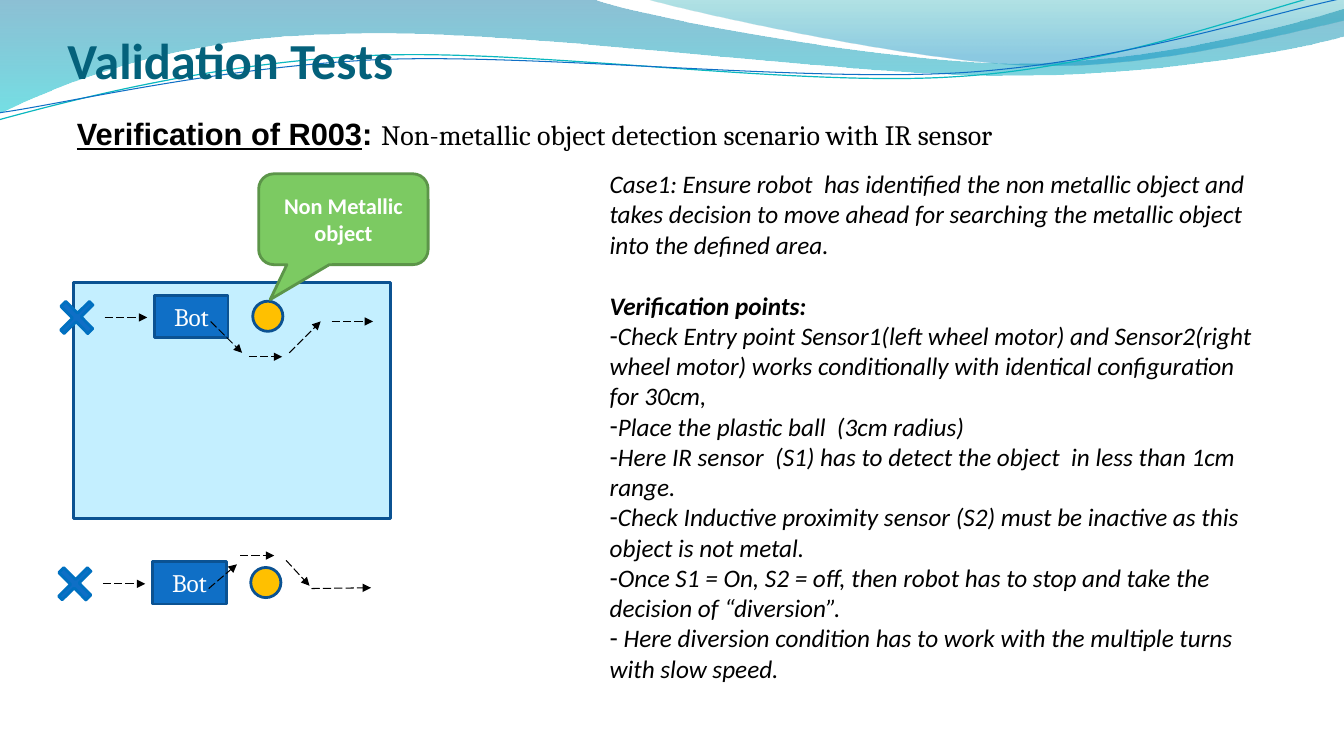
from dataclasses import dataclass

from lxml import etree
from pptx import Presentation
from pptx.dml.color import RGBColor
from pptx.enum.dml import MSO_LINE
from pptx.enum.shapes import MSO_CONNECTOR, MSO_SHAPE
from pptx.enum.text import MSO_ANCHOR, MSO_AUTO_SIZE, PP_ALIGN
from pptx.oxml.ns import qn
from pptx.util import Cm, Pt

RECT, OVAL, CROSS = MSO_SHAPE.RECTANGLE, MSO_SHAPE.OVAL, MSO_SHAPE.CROSS
BUBBLE = MSO_SHAPE.ROUNDED_RECTANGULAR_CALLOUT
STRAIGHT = MSO_CONNECTOR.STRAIGHT
DASH = MSO_LINE.LONG_DASH
LEFT, CENTER = PP_ALIGN.LEFT, PP_ALIGN.CENTER
MIDDLE, BOTTOM, TOP = MSO_ANCHOR.MIDDLE, MSO_ANCHOR.BOTTOM, MSO_ANCHOR.TOP


@dataclass(frozen=True)
class Theme:
    sans: str = "Calibri"
    serif: str = "Cambria"
    label: str = "Arial"
    title: str = "04617B"
    ink: str = "000000"
    white: str = "FFFFFF"
    blue: str = "0F6FC6"
    edge: str = "0B5292"
    cross: str = "0070C0"
    area: str = "C4EFFF"
    ball: str = "FFC000"
    green: str = "7CCA62"
    rim: str = "5C9549"
    teal: str = "0AB8BF"
    big: int = 36
    head: int = 22
    sub: int = 20
    body: int = 18
    note: int = 16


THEME = Theme()

# Wave outlines in cm: pairs are straight steps, sixes are Bezier curves.
BAND = [(0, 0), (14.91, -0.03),
        (16.1, 0.43, 22.48, 1.6, 25.68, 1.6),
        (28.91, 1.6, 32.46, 0.66, 33.86, 0.23), (33.91, 0.91),
        (33.3, 1.12, 29.46, 1.93, 25.25, 1.91),
        (21.06, 1.91, 12.93, 0.71, 8.71, 0.86),
        (4.37, 0.91, 1.55, 2.11, -0.03, 2.87), (0, 0)]
CREST = [(16.23, -0.03), (17.25, 0.28, 23.09, 1.57, 26.04, 1.65),
         (28.98, 1.75, 32.56, 0.81, 33.86, 0.53), (33.86, 0), (16.23, -0.03)]
UPPER = [(-0.03, 3.02), (1.63, 2.57, 5.36, 1.57, 9.37, 1.4),
         (13.39, 1.22, 20.07, 2.21, 24.13, 1.93),
         (28.19, 1.68, 31.8, 0.2, 33.81, -0.25)]
LOWER = [(0, 2.84), (1.6, 2.62, 5.54, 1.68, 9.6, 1.5),
         (13.64, 1.35, 20.22, 2.08, 24.26, 1.83),
         (28.32, 1.57, 31.88, 0.36, 33.88, -0.05)]

BELOW = [(5.31, 8.1, 6.1, 8.89), (6.27, 8.99, 7.11, 8.99),
         (8.36, 8.1, 9.4, 8.1), (7.29, 8.89, 8.08, 8.1)]
ABOVE = [(5.26, 14.83, 5.97, 14.22), (6.05, 14, 6.91, 14),
         (7.85, 14.83, 9.35, 14.81), (7.21, 14.12, 7.8, 14.76)]

CASE = ("Case1: Ensure robot  has identified the non metallic object and takes "
        "decision to move ahead for searching the metallic object into the defined area.")
POINTS = [
    "Check Entry point Sensor1(left wheel motor) and Sensor2(right wheel motor) "
    "works conditionally with identical configuration for 30cm,",
    "Place the plastic ball  (3cm radius)",
    "Here IR sensor  (S1) has to detect the object  in less than 1cm range.",
    "Check Inductive proximity sensor (S2) must be inactive as this object is not metal.",
    "Once S1 = On, S2 = off, then robot has to stop and take the decision of “diversion”.",
    " Here diversion condition has to work with the multiple turns with slow speed.",
]


def rgb(code):
    return RGBColor.from_string(code)


def place(shape, x, y, w, h):
    shape.left, shape.top, shape.width, shape.height = Cm(x), Cm(y), Cm(w), Cm(h)


def style(run, face, size, color, bold=False, italic=False):
    font = run.font
    font.name, font.size, font.bold, font.italic = face, Pt(size), bold, italic
    font.color.rgb = rgb(color)


def outline(slide, steps, close):
    """Build a freeform, then merge the three points of each six into a curve."""
    dots = [(Cm(step[i]), Cm(step[i + 1]))
            for step in steps for i in range(0, len(step), 2)]
    pen = slide.shapes.build_freeform(*dots[0])
    pen.add_line_segments(dots[1:], close=close)
    shape = pen.convert_to_shape()
    shape.shadow.inherit = False
    lines = iter(list(shape.element.spPr.iter(qn("a:lnTo"))))
    for step in steps[1:]:
        first = next(lines)
        if len(step) == 6:
            bend = etree.Element(qn("a:cubicBezTo"))
            first.addprevious(bend)
            for line in (first, next(lines), next(lines)):
                bend.append(line[0])
                line.getparent().remove(line)
    return shape


def wave(slide, steps, stops):
    """Draw a translucent band; stops hold position, colour and opacity percent."""
    shape = outline(slide, steps, True)
    shape.line.fill.background()
    fill = shape.fill
    fill.gradient()
    fill.gradient_angle = 270
    for stop, (pos, color, alpha) in zip(fill.gradient_stops, stops):
        stop.position = pos
        stop.color.rgb = rgb(color)
    marks = shape.element.spPr.iter(qn("a:srgbClr"))
    for mark, (pos, color, alpha) in zip(marks, stops):
        etree.SubElement(mark, qn("a:alpha")).set("val", str(alpha * 1000))


def curve(slide, steps, color, width):
    shape = outline(slide, steps, False)
    shape.fill.background()
    shape.line.color.rgb = rgb(color)
    shape.line.width = Pt(width)


def block(slide, kind, box, fill, edge):
    shape = slide.shapes.add_shape(kind, *map(Cm, box))
    shape.shadow.inherit = False
    shape.fill.solid()
    shape.fill.fore_color.rgb = rgb(fill)
    shape.line.color.rgb = rgb(edge)
    shape.line.width = Pt(2)
    return shape


def label(shape, text, face, size, bold=False):
    frame = shape.text_frame
    frame.text = text
    frame.word_wrap = True
    frame.vertical_anchor = MIDDLE
    para = frame.paragraphs[0]
    para.alignment = CENTER
    style(para.runs[0], face, size, THEME.white, bold)


def arrow(slide, ends):
    link = slide.shapes.add_connector(STRAIGHT, *map(Cm, ends))
    link.line.color.rgb = rgb(THEME.ink)
    link.line.width = Pt(0.75)
    link.line.dash_style = DASH
    props = link.element.spPr
    etree.SubElement(props.find(qn("a:ln")), qn("a:tailEnd")).set("type", "triangle")
    etree.SubElement(props, qn("a:effectLst"))


def route(slide, x, y, turns):
    """Draw entry cross, robot, ball and the arrows around the ball."""
    robot = block(slide, RECT, (x + 2.45, y, 1.85, 1.07), THEME.blue, THEME.edge)
    label(robot, "Bot", THEME.serif, THEME.body)
    arrow(slide, (x + 1.19, y + 0.56, x + 2.26, y + 0.56))
    cross = block(slide, CROSS, (x, y + 0.05, 0.97, 1.02), THEME.blue, THEME.cross)
    cross.adjustments[0] = 0.435
    cross.rotation = 45.3
    block(slide, OVAL, (x + 4.92, y + 0.15, 0.76, 0.76), THEME.ball, THEME.edge)
    for ends in turns:
        arrow(slide, ends)


def heading(slide):
    title = slide.shapes.title
    place(title, 1.7, 0.56, 30.48, 1.7)
    frame = title.text_frame
    frame.text = "Validation Tests"
    frame.auto_size = MSO_AUTO_SIZE.NONE
    frame.vertical_anchor = BOTTOM
    frame.margin_left = frame.margin_right = frame.margin_bottom = 0
    frame.paragraphs[0].alignment = LEFT
    style(frame.paragraphs[0].runs[0], THEME.sans, THEME.big, THEME.title, True)


def topic(slide):
    box = slide.shapes.add_textbox(Cm(1.69), Cm(2.77), Cm(32.18), Cm(1.19))
    box.text_frame.word_wrap = True
    para = box.text_frame.paragraphs[0]
    for text, face, size, bold, under in [
            ("Verification of R003", THEME.label, THEME.head, True, True),
            (": ", THEME.label, THEME.head, True, False),
            ("Non-metallic object detection scenario with IR sensor",
             THEME.serif, THEME.sub, False, False)]:
        run = para.add_run()
        run.text = text
        style(run, face, size, THEME.ink, bold)
        run.font.underline = under


def steps(slide):
    body = slide.placeholders[1]
    place(body, 15.11, 4.12, 16.94, 13.34)
    frame = body.text_frame
    frame.text = "\n".join([CASE, "Verification points:", *POINTS])
    frame.auto_size = MSO_AUTO_SIZE.NONE
    frame.vertical_anchor = TOP
    for i, para in enumerate(frame.paragraphs):
        para.alignment = LEFT
        para.line_spacing = 1.0
        para.space_before = Pt(22 if i == 1 else 0)
        style(para.runs[0], THEME.sans, THEME.body, THEME.ink, i == 1, True)
        props = para._p.get_or_add_pPr()
        props.set("marL", "0")
        props.set("indent", "0")
        if i < 2:
            etree.SubElement(props, qn("a:buNone"))
        else:
            etree.SubElement(props, qn("a:buChar")).set("char", "-")


def main():
    deck = Presentation()
    deck.slide_width, deck.slide_height = Cm(33.87), Cm(19.05)
    slide = deck.slides.add_slide(deck.slide_layouts[1])
    wave(slide, BAND, [(0, "0074A1", 45), (1, "00C6CF", 55)])
    wave(slide, CREST, [(0, "00A1A9", 30), (0.8, "008BBF", 45)])
    curve(slide, UPPER, THEME.teal, 0.85)
    curve(slide, LOWER, THEME.blue, 0.75)
    heading(slide)
    for item in (slide.shapes.title, slide.placeholders[1]):
        slide.shapes._spTree.append(item.element)
    topic(slide)
    steps(slide)
    block(slide, RECT, (1.85, 7.11, 8, 5.95), THEME.area, THEME.edge)
    route(slide, 1.45, 7.44, BELOW)
    note = block(slide, BUBBLE, (6.52, 4.38, 4.27, 2.29), THEME.green, THEME.rim)
    for i, value in enumerate((-0.432, 0.884, 0.167)):
        note.adjustments[i] = value
    label(note, "Non Metallic object", THEME.sans, THEME.note, True)
    route(slide, 1.4, 14.15, ABOVE)
    deck.save("out.pptx")


if __name__ == "__main__":
    main()
